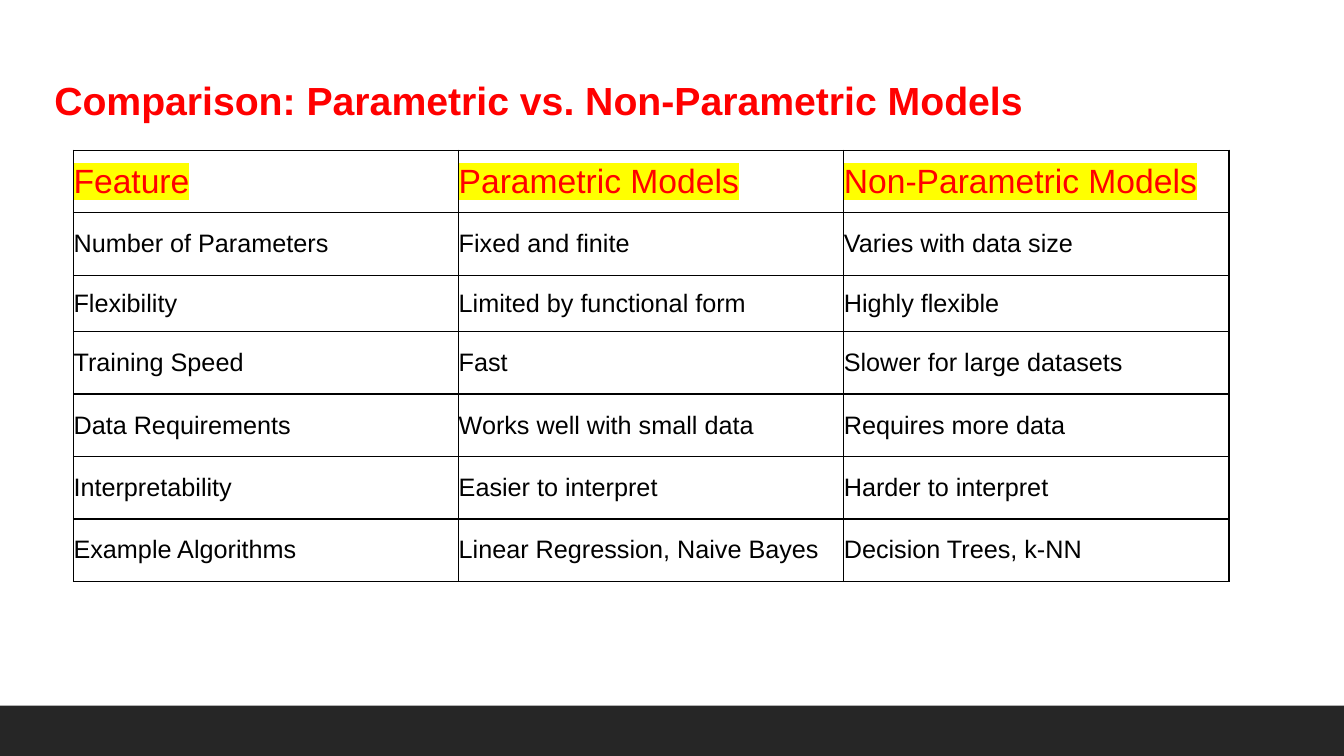
from dataclasses import dataclass

from lxml import etree
from pptx import Presentation
from pptx import util as u
from pptx.dml.color import RGBColor
from pptx.enum import shapes, text
from pptx.oxml.ns import qn

EMU_PER_PX = 9144  # 100 px to the inch


def px(n):
    return u.Emu(n * EMU_PER_PX)


@dataclass(frozen=True)
class Theme:
    font: str = "Arial"
    accent: str = "FF0000"
    ink: str = "000000"
    highlight: str = "FFFF00"
    footer: str = "262626"
    title_size: int = 28
    head_size: int = 24
    body_size: int = 18
    border: int = 1


def add_color(parent, tag, color):
    """Append a DrawingML element that holds one RGB colour."""
    el = etree.SubElement(parent, qn(tag))
    etree.SubElement(el, qn("a:srgbClr"), val=color)


class Deck:
    def __init__(self, theme, width, height):
        self.theme = theme
        self.prs = Presentation()
        self.prs.slide_width, self.prs.slide_height = px(width), px(height)
        self.s = self.prs.slides.add_slide(self.prs.slide_layouts[6])

    def set_text(self, tf, words, size, color, bold=False, highlight=None):
        p = tf.paragraphs[0]
        r = p.add_run()
        r.text = words
        p.font.name = self.theme.font
        p.font.size = u.Pt(size)
        p.font.bold = bold
        p.font.color.rgb = RGBColor.from_string(color)
        if highlight:
            add_color(r._r.get_or_add_rPr(), "a:highlight", highlight)

    def bar(self, x, y, w, h):
        sp = self.s.shapes.add_shape(
            shapes.MSO_SHAPE.RECTANGLE, px(x), px(y), px(w), px(h))
        sp.shadow.inherit = False
        sp.fill.solid()
        sp.fill.fore_color.rgb = RGBColor.from_string(self.theme.footer)
        sp.line.fill.background()

    def title(self, words, x, y, w, h):
        tf = self.s.shapes.add_textbox(px(x), px(y), px(w), px(h)).text_frame
        tf.word_wrap = True
        tf.margin_top = px(10)
        self.set_text(tf, words, self.theme.title_size, self.theme.accent, bold=True)

    def borders(self, cell):
        tcPr = cell._tc.get_or_add_tcPr()
        for i, side in enumerate("LRTB"):
            ln = etree.Element(qn(f"a:ln{side}"), w=str(u.Pt(self.theme.border)))
            add_color(ln, "a:solidFill", self.theme.ink)
            tcPr.insert(i, ln)

    def table(self, rows, x, y, col_width, heights):
        cols = len(rows[0])
        table = self.s.shapes.add_table(
            len(rows), cols, px(x), px(y),
            px(col_width * cols), px(sum(heights))).table
        table.first_row = table.horz_banding = False
        for col in table.columns:
            col.width = px(col_width)
        th = self.theme
        head = (th.head_size, th.accent, False, th.highlight)
        body = (th.body_size, th.ink)
        for i, (row, height) in enumerate(zip(rows, heights)):
            table.rows[i].height = px(height)
            for j, words in enumerate(row):
                cell = table.cell(i, j)
                cell.fill.background()
                cell.vertical_anchor = text.MSO_ANCHOR.MIDDLE
                cell.margin_left = cell.margin_right = 0
                cell.margin_top = cell.margin_bottom = 0
                self.borders(cell)
                self.set_text(cell.text_frame, words, *(body if i else head))


COMPARISON = [
    ("Feature", "Parametric Models", "Non-Parametric Models"),
    ("Number of Parameters", "Fixed and finite", "Varies with data size"),
    ("Flexibility", "Limited by functional form", "Highly flexible"),
    ("Training Speed", "Fast", "Slower for large datasets"),
    ("Data Requirements", "Works well with small data", "Requires more data"),
    ("Interpretability", "Easier to interpret", "Harder to interpret"),
    ("Example Algorithms", "Linear Regression, Naive Bayes", "Decision Trees, k-NN"),
]


def main():
    deck = Deck(Theme(), 1333, 750)
    deck.bar(0, 700, 1333, 50)
    deck.title("Comparison: Parametric vs. Non-Parametric Models", 44, 66, 1186, 124)
    heights = [56 if row[0] == "Flexibility" else 62 for row in COMPARISON]
    deck.table(COMPARISON, 73, 149, 382, heights)
    deck.prs.save("out.pptx")


if __name__ == "__main__":
    main()
